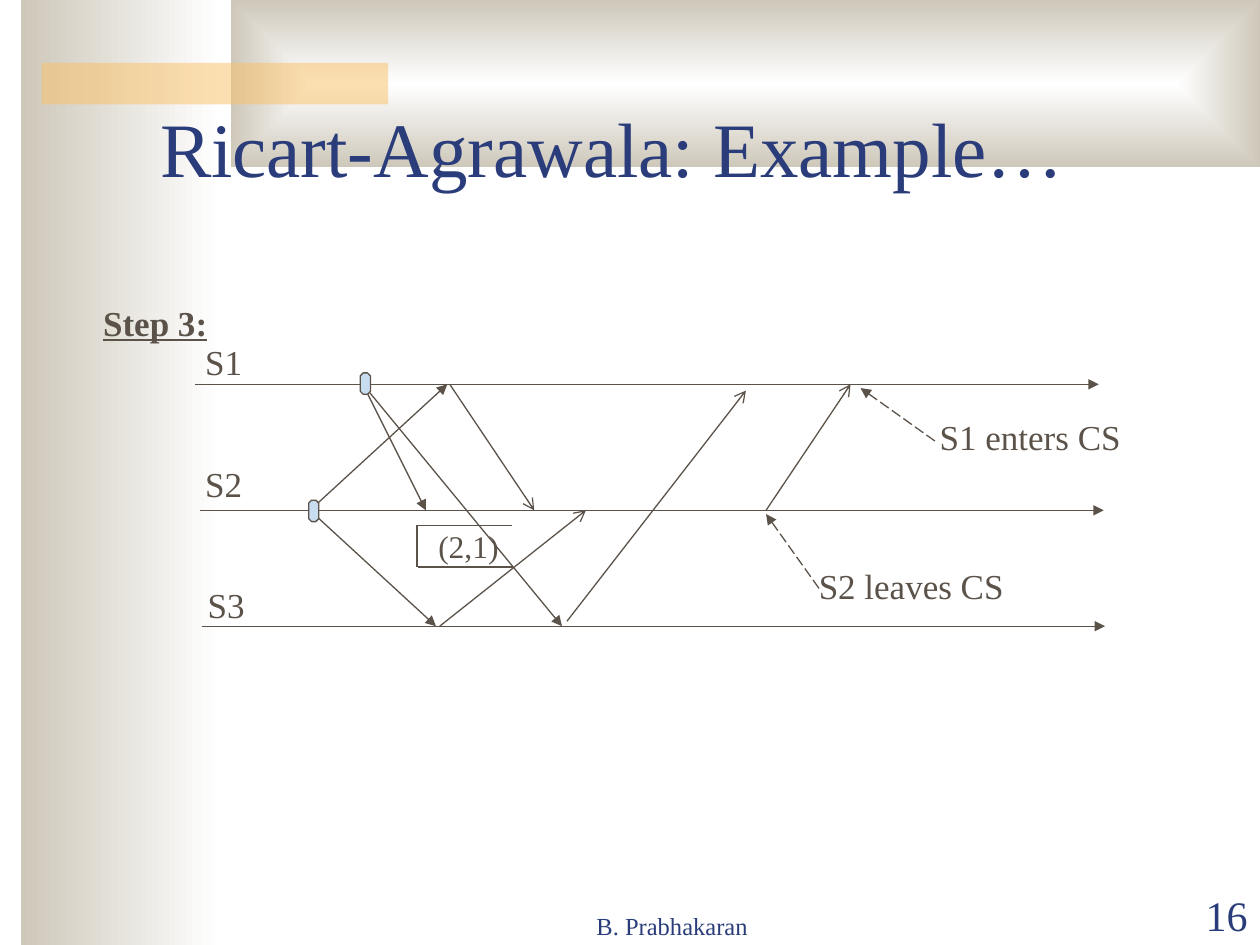
from dataclasses import dataclass
from typing import Any, Optional

from lxml import etree
from pptx import Presentation
from pptx import util as u
from pptx.dml import color
from pptx.enum import dml, shapes, text
from pptx.oxml import ns


@dataclass(frozen=True)
class Theme:
    font: str = "Times New Roman"
    navy: str = "2A3D7A"
    ink: str = "5B5249"
    tan: str = "CEC8BA"
    white: str = "FFFFFF"
    amber: str = "FAC164"
    event: str = "C9DDF1"
    title_size: int = 44
    number_size: int = 24
    label_size: int = 20
    stamp_size: int = 18
    footer_size: int = 14
    line_width: float = 0.75


@dataclass(frozen=True)
class Frame:
    left: float
    top: float
    width: float
    height: float

    def lengths(self) -> list[u.Length]:
        return [u.Inches(side) for side in (self.left, self.top, self.width, self.height)]


@dataclass(frozen=True)
class Label:
    words: str
    frame: Frame
    size: int
    color: str
    wrap: bool = False
    align: Any = text.PP_ALIGN.LEFT
    anchor: Any = text.MSO_ANCHOR.TOP
    emphasis: bool = False


@dataclass(frozen=True)
class Line:
    start: tuple[float, float]
    end: tuple[float, float]
    head: Optional[str] = None
    dashed: bool = False


THEME = Theme()
ROWS = {"S1": 3.05, "S2": 4.05, "S3": 4.97}
S1, S2, S3 = ROWS.values()
LIFELINE_LENGTH = 7.17
REQUEST_S1 = (2.88, S1)
REQUEST_S2 = (2.46, S2)

LIFELINES = [
    Line((left, row), (left + LIFELINE_LENGTH, row), "triangle")
    for left, row in zip((1.55, 1.59, 1.6), ROWS.values())
]
REQUESTS = [
    Line(REQUEST_S1, (3.38, S2), "triangle"),
    Line(REQUEST_S1, (4.46, S3), "triangle"),
    Line(REQUEST_S2, (3.55, S1), "triangle"),
    Line(REQUEST_S2, (3.46, S3), "triangle"),
]
STAMP_BORDER = [
    Line((4.06, 4.17), (3.31, 4.17)),
    Line((3.31, 4.17), (3.31, 4.5)),
    Line((4.07, 4.5), (3.32, 4.5)),
]
REPLIES = [
    Line((3.57, S1), (4.24, S2), "arrow"),
    Line((3.49, S3), (4.65, S2), "arrow"),
    Line((4.5, 4.93), (5.92, 3.1), "arrow"),
    Line((6.08, S2), (6.75, S1), "arrow"),
]
POINTERS = [
    Line((7.42, 3.5), (6.83, 3.08), "triangle", True),
    Line((6.5, 4.67), (6.08, 4.08), "triangle", True),
]
EVENTS = [Frame(2.86, 2.96, 0.08, 0.17), Frame(2.45, 3.97, 0.08, 0.17)]

TITLE = Label("Ricart-Agrawala: Example…", Frame(1.17, 0.33, 8.5, 1.25),
              THEME.title_size, THEME.navy, True, anchor=text.MSO_ANCHOR.BOTTOM)
LABELS = [
    Label("(2,1)", Frame(3.38, 4.13, 0.68, 0.4), THEME.stamp_size, THEME.ink),
    *(Label(words, Frame(left, top, 0.5, 0.44), THEME.label_size, THEME.ink)
      for words, left, top in zip(ROWS, (1.53, 1.53, 1.55), (2.65, 3.62, 4.58))),
    Label("Step 3:", Frame(0.72, 2.34, 1.04, 0.44), THEME.label_size, THEME.ink,
          emphasis=True),
    Label("S1 enters CS", Frame(7.36, 3.25, 1.64, 0.44), THEME.label_size, THEME.ink),
    Label("S2 leaves CS", Frame(6.4, 4.43, 1.67, 0.44), THEME.label_size, THEME.ink),
    Label("B. Prabhakaran", Frame(3.75, 7.01, 3.17, 0.5), THEME.footer_size, THEME.navy,
          True, text.PP_ALIGN.CENTER, text.MSO_ANCHOR.BOTTOM),
    Label("16", Frame(9, 7.01, 1, 0.5), THEME.number_size, THEME.navy,
          True, text.PP_ALIGN.RIGHT, text.MSO_ANCHOR.BOTTOM),
]


def apply(target: Any, values: dict[str, Any]) -> None:
    for name, value in values.items():
        setattr(target, name, value)


def rgb(value: str) -> color.RGBColor:
    return color.RGBColor.from_string(value)


def add_panel(page: Any, frame: Frame, kind: Any = shapes.MSO_SHAPE.RECTANGLE) -> Any:
    panel = page.shapes.add_shape(kind, *frame.lengths())
    panel.shadow.inherit = False
    panel.line.fill.background()
    return panel


def fill_gradient(panel: Any, rectangular: bool = False) -> None:
    panel.fill.gradient()
    panel.fill.gradient_angle = 180
    for stop, value in zip(panel.fill.gradient_stops, (THEME.white, THEME.tan)):
        stop.color.rgb = rgb(value)
    if rectangular:
        linear = panel.element.spPr.find(".//" + ns.qn("a:lin"))
        shade = etree.Element(ns.qn("a:path"), {"path": "rect"})
        center = dict.fromkeys(("l", "t", "r", "b"), "50000")
        etree.SubElement(shade, ns.qn("a:fillToRect"), center)
        linear.getparent().replace(linear, shade)


def add_background(page: Any) -> None:
    fill_gradient(add_panel(page, Frame(0.17, 0, 1.58, 7.5)))
    fill_gradient(add_panel(page, Frame(1.83, 0, 8.17, 1.33)), True)
    accent = add_panel(page, Frame(0.33, 0.5, 2.75, 0.33))
    accent.fill.solid()
    accent.fill.fore_color.rgb = rgb(THEME.amber)
    tint = accent.element.spPr.find(".//" + ns.qn("a:srgbClr"))
    etree.SubElement(tint, ns.qn("a:alpha"), {"val": "50000"})


def write_label(box: Any, label: Label) -> None:
    apply(box, dict(zip(("left", "top", "width", "height"), label.frame.lengths())))
    frame = box.text_frame
    apply(frame, {
        "word_wrap": label.wrap,
        "auto_size": text.MSO_AUTO_SIZE.NONE if label.wrap
        else text.MSO_AUTO_SIZE.SHAPE_TO_FIT_TEXT,
        "vertical_anchor": label.anchor,
        "margin_left": u.Inches(0.1),
        "margin_right": u.Inches(0.1),
        "margin_top": u.Inches(0.05),
        "margin_bottom": u.Inches(0.05),
    })
    para = frame.paragraphs[0]
    para.alignment = label.align
    span = para.add_run()
    span.text = label.words
    apply(span.font, {"name": THEME.font, "size": u.Pt(label.size),
                      "bold": label.emphasis, "underline": label.emphasis})
    span.font.color.rgb = rgb(label.color)


def style_line(line: Any) -> None:
    line.width = u.Pt(THEME.line_width)
    line.color.rgb = rgb(THEME.ink)


def add_line(page: Any, line: Line) -> None:
    ends = [u.Inches(value) for value in (*line.start, *line.end)]
    connector = page.shapes.add_connector(shapes.MSO_CONNECTOR.STRAIGHT, *ends)
    style_line(connector.line)
    if line.dashed:
        connector.line.dash_style = dml.MSO_LINE.LONG_DASH
    properties = connector.element.spPr
    if line.head:
        outline = properties.find(ns.qn("a:ln"))
        etree.SubElement(outline, ns.qn("a:tailEnd"), {"type": line.head})
    etree.SubElement(properties, ns.qn("a:effectLst"))


def add_event(page: Any, frame: Frame) -> None:
    event = add_panel(page, frame, shapes.MSO_SHAPE.OCTAGON)
    event.fill.solid()
    event.fill.fore_color.rgb = rgb(THEME.event)
    style_line(event.line)


def main() -> None:
    deck = Presentation()
    apply(deck, {"slide_width": u.Inches(10), "slide_height": u.Inches(7.5)})
    page = deck.slides.add_slide(deck.slide_layouts[5])
    add_background(page)
    title = page.shapes.title
    title.element.getparent().append(title.element)
    write_label(title, TITLE)
    for line in LIFELINES + REQUESTS + STAMP_BORDER + REPLIES + POINTERS:
        add_line(page, line)
    for frame in EVENTS:
        add_event(page, frame)
    for label in LABELS:
        write_label(page.shapes.add_textbox(*label.frame.lengths()), label)
    deck.save("out.pptx")


if __name__ == "__main__":
    main()
